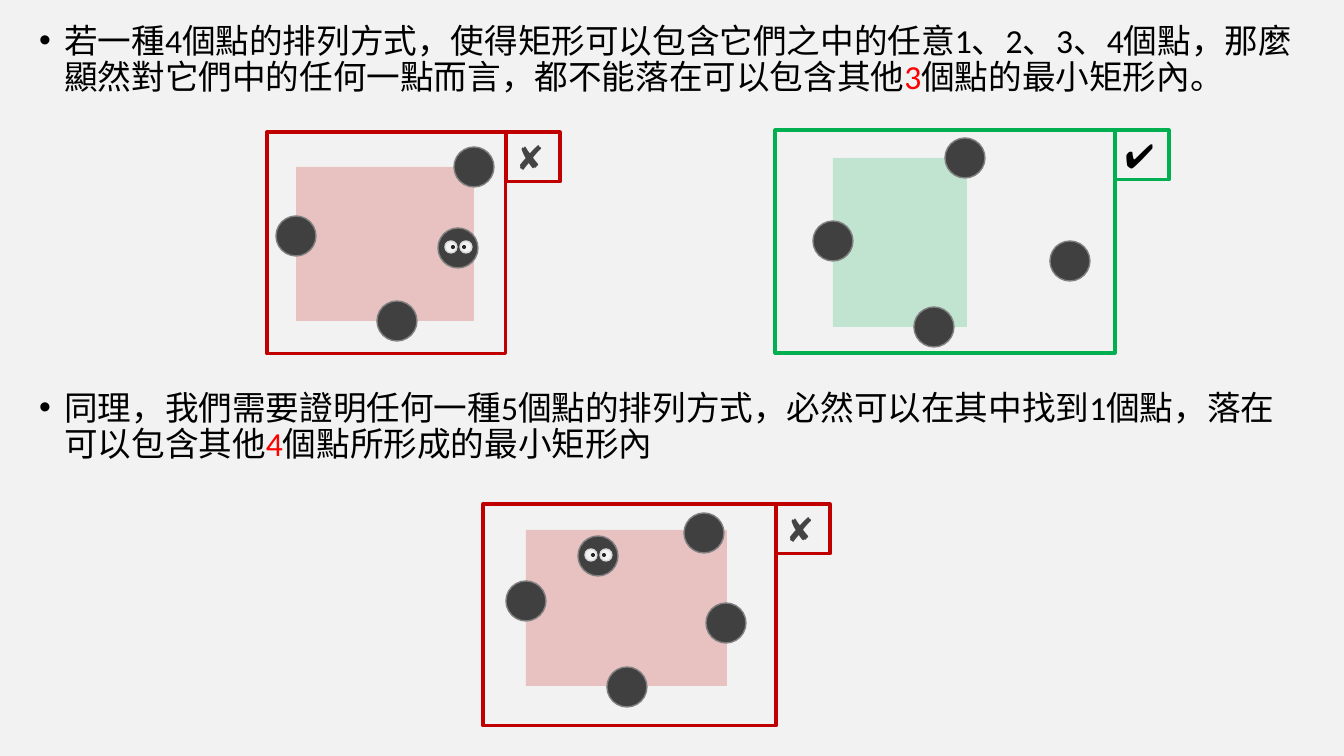
import pptx
import pptx.dml.color
import pptx.enum.shapes
import pptx.enum.text
import pptx.oxml
import pptx.oxml.ns
import pptx.util

RED, GREEN = "C00000", "00B050"
CROSS, TICK = ("\u2718", "Open Sans", "444444"), ("\u2714", "Calibri", "000000")
OVAL = pptx.enum.shapes.MSO_SHAPE.OVAL
RECT = pptx.enum.shapes.MSO_SHAPE.RECTANGLE


def px(*lengths):
    """Turn pixels into EMU."""
    return [pptx.util.Emu(round(n * 914400 / 100.8)) for n in lengths]


def rgb(text):
    """Turn a hex string into a colour."""
    return pptx.dml.color.RGBColor.from_string(text)


def set_line(line, color, width):
    """Colour a line, or remove it when no colour is given."""
    if color:
        line.color.rgb = rgb(color)
        line.width = pptx.util.Pt(width)
    else:
        line.fill.background()


def add_preset(shapes, kind, box, fill=None, line=None, width=1, alpha=None):
    """Add a flat preset shape with an optional fill, line and opacity."""
    sp = shapes.add_shape(kind, *px(*box))
    sp.shadow.inherit = False
    if fill:
        sp.fill.solid()
        sp.fill.fore_color.rgb = rgb(fill)
    else:
        sp.fill.background()
    if alpha:
        color = sp.element.spPr.find(".//" + pptx.oxml.ns.qn("a:srgbClr"))
        ns = pptx.oxml.ns.nsdecls("a")
        color.append(pptx.oxml.parse_xml(f'<a:alpha {ns} val="{alpha * 1000}"/>'))
    set_line(sp.line, line, width)


def add_disc(shapes, cx, cy, size, fill, line=None):
    """Add a disc around a centre."""
    box = cx - size / 2, cy - size / 2, size, size
    add_preset(shapes, OVAL, box, fill, line)


def add_eyes(s, cx, cy):
    """Add a pair of eyes to the point centred here."""
    group = s.shapes.add_group_shape()
    for eye, pupil in ((-7, -5), (8, 6)):
        add_disc(group.shapes, cx + eye, cy - 1, 12, "F2F2F2", "D9D9D9")
        add_disc(group.shapes, cx + pupil, cy - 1, 4, "262626")


def add_badge(s, x, y, color, mark):
    """Add the framed verdict mark."""
    text, font, ink = mark
    sp = s.shapes.add_textbox(*px(x, y, 54, 50))
    set_line(sp.line, color, 2.25)
    tf = sp.text_frame
    tf.word_wrap = False
    tf.auto_size = pptx.enum.text.MSO_AUTO_SIZE.SHAPE_TO_FIT_TEXT
    p = tf.paragraphs[0]
    p.text = text
    p.font.size = pptx.util.Pt(24)
    p.font.name = font
    p.font.color.rgb = rgb(ink)


def add_panel(s, box, color, mark, area, points, inner=None):
    """Add a framed arrangement of points, with eyes on the inner one."""
    x, y, w, h = box
    left, top, width, height = area
    add_preset(s.shapes, RECT, (x + left, y + top, width, height), color, alpha=20)
    group = s.shapes.add_group_shape()
    for cx, cy in points:
        add_disc(group.shapes, x + cx, y + cy, 40, "404040", "808080")
    add_preset(s.shapes, RECT, box, line=color, width=2.25)
    add_badge(s, x + w, y, color, mark)
    if inner:
        add_eyes(s, x + inner[0], y + inner[1])


def fill_bullet(sp, box, before, count, after):
    """Place a body placeholder and write one bullet with a red count."""
    sp.left, sp.top, sp.width, sp.height = px(*box)
    tf = sp.text_frame
    tf.word_wrap = True
    tf.auto_size = pptx.enum.text.MSO_AUTO_SIZE.NONE
    p = tf.paragraphs[0]
    p.line_spacing = 0.9
    p.space_before = pptx.util.Pt(10)
    p.font.size = pptx.util.Pt(24)
    p.font.name = "Calibri"
    p.font.color.rgb = rgb("000000")
    pPr = p._p.get_or_add_pPr()
    pPr.set("marL", "228600")
    pPr.set("indent", "-228600")
    for text in (before, count, after):
        r = p.add_run()
        r.text = text
        if text == count:
            r.font.color.rgb = rgb("FF0000")


def build_slide(prs):
    """Build the slide on point arrangements and rectangles."""
    s = prs.slides.add_slide(prs.slide_layouts.get_by_name("Two Content"))
    s.background.fill.solid()
    s.background.fill.fore_color.rgb = rgb("F2F2F2")
    title, four, five = list(s.placeholders)[:3]
    title.element.getparent().remove(title.element)
    fill_bullet(four, (29, 19, 1285, 86),
                "若一種4個點的排列方式，使得矩形可以包含它們之中的任意1、2、3、4個點，"
                "那麼顯然對它們中的任何一點而言，都不能落在可以包含其他",
                "3", "個點的最小矩形內。")
    fill_bullet(five, (29, 386, 1285, 86),
                "同理，我們需要證明任何一種5個點的排列方式，必然可以在其中找到1個點，"
                "落在可以包含其他",
                "4", "個點所形成的最小矩形內")
    add_panel(s, (267, 132, 239, 222), RED, CROSS, (29, 35, 178, 154),
              [(207, 35), (29, 104), (130, 189), (191, 116)], (191, 116))
    add_panel(s, (775, 130, 340, 223), GREEN, TICK, (58, 28, 134, 169),
              [(190, 28), (58, 111), (159, 197), (295, 131)])
    add_panel(s, (483, 504, 293, 222), RED, CROSS, (43, 26, 201, 156),
              [(221, 29), (43, 97), (144, 183), (115, 52), (243, 119)], (115, 52))


prs = pptx.Presentation()
prs.slide_width, prs.slide_height = px(1344, 756)
build_slide(prs)
prs.save("out.pptx")
